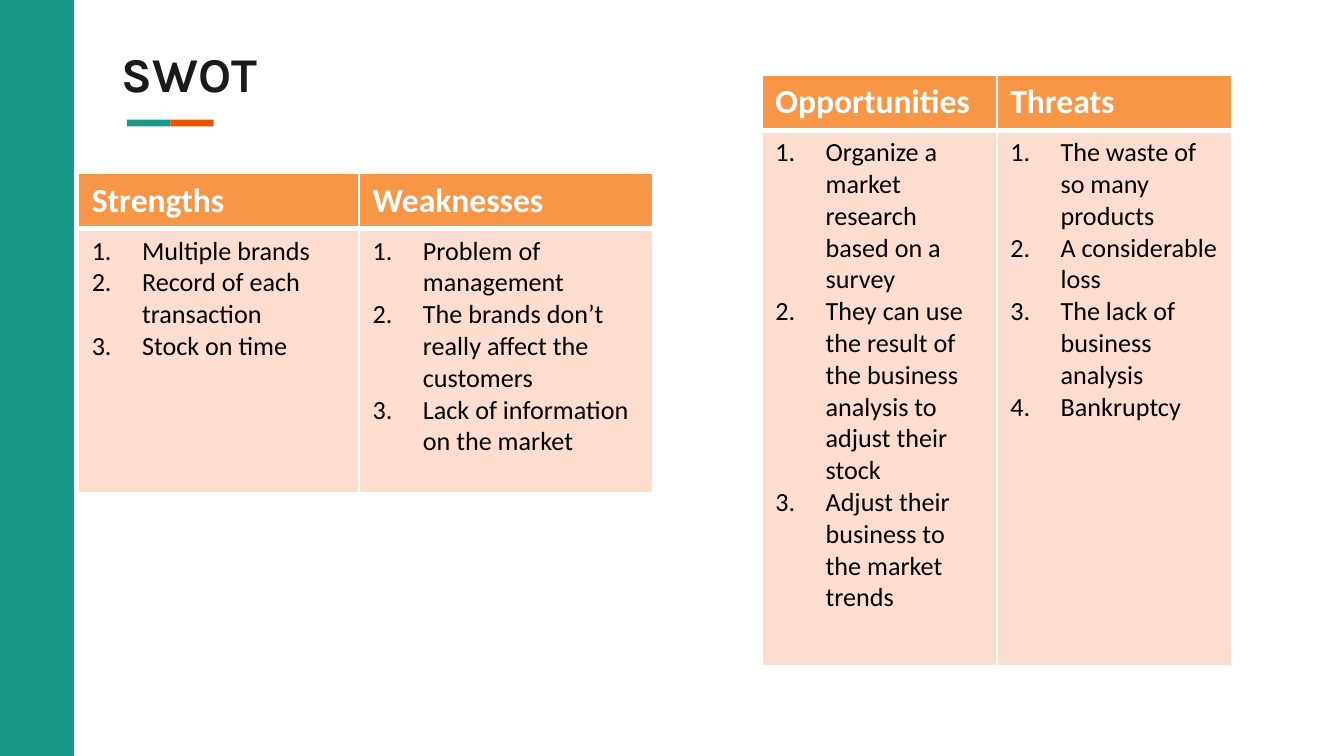
from dataclasses import dataclass

from lxml import etree
from pptx import Presentation
from pptx.dml.color import RGBColor
from pptx.enum.shapes import MSO_SHAPE
from pptx.enum.text import MSO_ANCHOR
from pptx.oxml.ns import qn
from pptx.util import Cm, Pt

RECT = MSO_SHAPE.RECTANGLE
TOP = MSO_ANCHOR.TOP


@dataclass(frozen=True)
class Theme:
    teal: str = "1A9988"
    orange: str = "EB5500"
    ink: str = "1A1A1A"
    header: str = "F79646"
    body: str = "FCDDCF"
    white: str = "FFFFFF"
    black: str = "000000"
    title_font: str = "Karla"
    table_font: str = "Calibri"
    title_size: int = 26
    header_size: int = 18
    body_size: int = 14


THEME = Theme()

STRENGTHS_WEAKNESSES = {
    "Strengths": ["Multiple brands", "Record of each transaction", "Stock on time"],
    "Weaknesses": [
        "Problem of management",
        "The brands don’t really affect the customers",
        "Lack of information on the market",
    ],
}
OPPORTUNITIES_THREATS = {
    "Opportunities": [
        "Organize a market research based on a survey",
        "They can use the result of the business analysis to adjust their stock",
        "Adjust their business to the market trends",
    ],
    "Threats": [
        "The waste of so many products",
        "A considerable loss",
        "The lack of business analysis",
        "Bankruptcy",
    ],
}


def add_bar(slide, left, top, width, height, color):
    sp = slide.shapes.add_shape(RECT, Cm(left), Cm(top), Cm(width), Cm(height))
    sp.shadow.inherit = False
    sp.fill.solid()
    sp.fill.fore_color.rgb = RGBColor.from_string(color)
    sp.line.fill.background()


def add_run(p, text, font, size, color, bold=False):
    r = p.add_run()
    r.text = text
    r.font.name = font
    r.font.size = Pt(size)
    r.font.bold = bold
    r.font.color.rgb = RGBColor.from_string(color)


def add_title(slide, left, top, width, height, text):
    """Title with a two-colour rule below it."""
    tf = slide.shapes.add_textbox(Cm(left), Cm(top), Cm(width), Cm(height)).text_frame
    tf.word_wrap = True
    tf.vertical_anchor = TOP
    tf.margin_left = tf.margin_right = tf.margin_top = tf.margin_bottom = 0
    add_run(tf.paragraphs[0], text, THEME.title_font, THEME.title_size, THEME.ink, True)

    rule_width, rule_height = 0.82, 0.13
    for i, color in enumerate((THEME.teal, THEME.orange)):
        add_bar(slide, left + 0.11 + i * rule_width, top + height + 0.3,
                rule_width, rule_height, color)


def style_cell(cell, fill, top_border, bottom_border):
    """White borders, given in points, around a solid fill."""
    tcPr = cell._tc.get_or_add_tcPr()
    borders = {"a:lnL": 1, "a:lnR": 1, "a:lnT": top_border, "a:lnB": bottom_border}
    for tag, width in borders.items():
        ln = etree.SubElement(tcPr, qn(tag), w=str(Pt(width)))
        solid = etree.SubElement(ln, qn("a:solidFill"))
        etree.SubElement(solid, qn("a:srgbClr"), val=THEME.white)
    cell.fill.solid()
    cell.fill.fore_color.rgb = RGBColor.from_string(fill)


def number_paragraph(p):
    pPr = p._p.get_or_add_pPr()
    indent = Cm(0.95)
    pPr.set("marL", str(indent))
    pPr.set("indent", str(-indent))
    etree.SubElement(pPr, qn("a:buFont"), typeface="+mj-lt")
    etree.SubElement(pPr, qn("a:buAutoNum"), type="arabicPeriod")


def add_swot_table(slide, left, top, col_widths, row_heights, lists):
    """Headings in the first row, a numbered list below each."""
    table = slide.shapes.add_table(
        2, len(lists), Cm(left), Cm(top),
        Cm(sum(col_widths)), Cm(sum(row_heights))).table
    for row, height in zip(table.rows, row_heights):
        row.height = Cm(height)

    for col, (heading, items) in enumerate(lists.items()):
        table.columns[col].width = Cm(col_widths[col])
        head, body = table.cell(0, col), table.cell(1, col)
        style_cell(head, THEME.header, 1, 3)
        style_cell(body, THEME.body, 3, 1)
        add_run(head.text_frame.paragraphs[0], heading, THEME.table_font,
                THEME.header_size, THEME.white, True)
        tf = body.text_frame
        for i, item in enumerate(items):
            p = tf.add_paragraph() if i else tf.paragraphs[0]
            number_paragraph(p)
            add_run(p, item, THEME.table_font, THEME.body_size, THEME.black)


def main():
    prs = Presentation()
    prs.slide_width, prs.slide_height = Cm(25.4), Cm(14.29)
    slide = prs.slides.add_slide(prs.slide_layouts[6])

    add_bar(slide, 0, 0, 1.4, 14.29, THEME.teal)
    add_title(slide, 2.29, 0.84, 20.83, 1.12, "SWOT")
    add_swot_table(slide, 1.48, 3.28, (5.31, 5.54), (1.04, 5), STRENGTHS_WEAKNESSES)
    add_swot_table(slide, 14.4, 1.42, (4.44, 4.44), (1.04, 10.13), OPPORTUNITIES_THREATS)

    prs.save("out.pptx")


if __name__ == "__main__":
    main()
